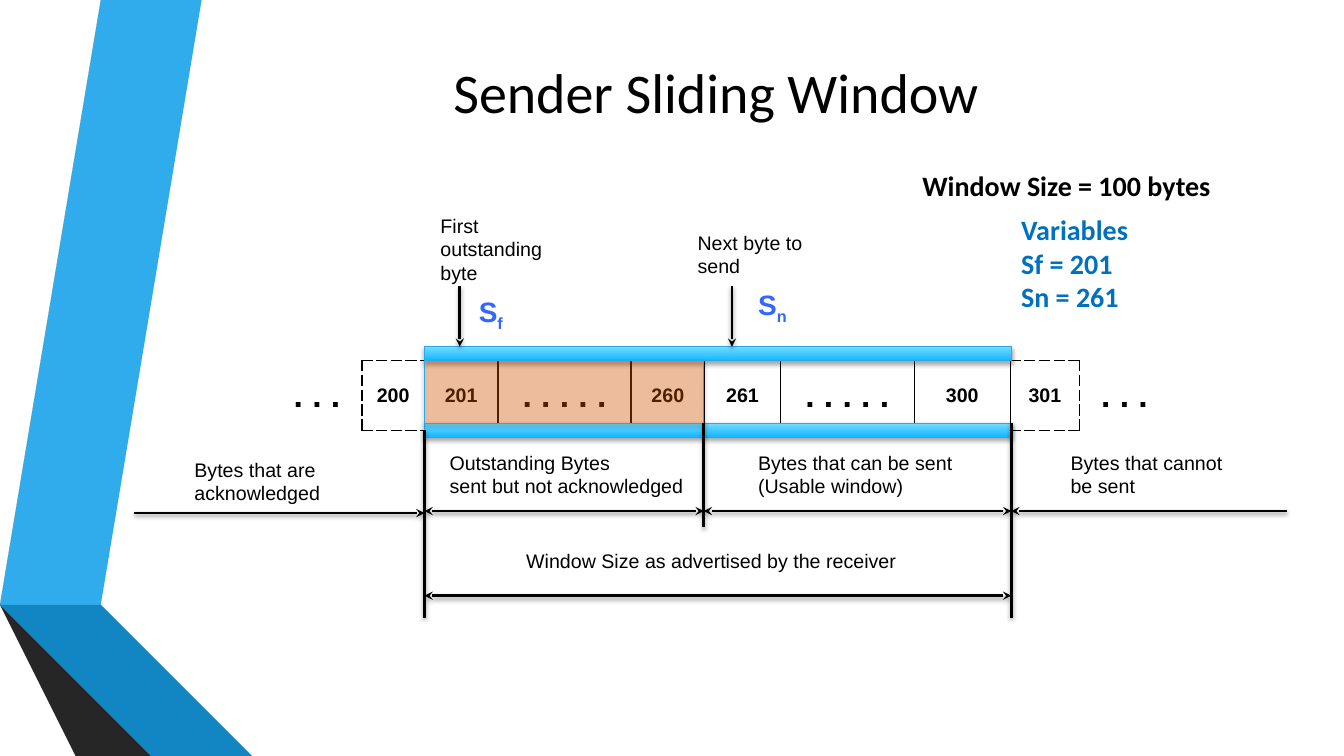
from lxml import etree
from pptx import Presentation
from pptx.dml.color import RGBColor
from pptx.enum.shapes import MSO_CONNECTOR, MSO_SHAPE
from pptx.enum.text import MSO_ANCHOR, PP_ALIGN
from pptx.oxml import parse_xml
from pptx.oxml.ns import nsdecls, qn
from pptx.util import Inches, Pt

BLACK = RGBColor(0x00, 0x00, 0x00)
BLUE = RGBColor(0x00, 0x70, 0xC0)
POINTER_BLUE = RGBColor(0x33, 0x66, 0xFF)
BAR_DARK = RGBColor(0x13, 0xB5, 0xFF)
BAR_LIGHT = RGBColor(0x73, 0xDC, 0xFF)
BAR_EDGE = RGBColor(0x29, 0xA9, 0xEA)
ORANGE = RGBColor(0xFF, 0x66, 0x00)

# Content: ribbon polygons on the left edge
RIBBONS = [
    (RGBColor(0x30, 0xAC, 0xEC), [(0.5, 5.78), (0.77, 5.83), (1.73, 0), (1.45, 0)]),
    (RGBColor(0x59, 0x59, 0x59), [(1.39, 0), (1.11, 0), (0.16, 5.73), (0.44, 5.77)]),
    (RGBColor(0x26, 0x26, 0x26), [(0.16, 5.73), (1.45, 7.5), (1.51, 7.5)]),
    (RGBColor(0x0B, 0x59, 0x82), [(0.5, 5.79), (2.08, 7.5), (2.14, 7.5)]),
    (RGBColor(0x11, 0x86, 0xC3), [(0.5, 5.79), (2.14, 7.5), (2.83, 7.5), (0.77, 5.83), (0.5, 5.78)]),
    (RGBColor(0x3F, 0x3F, 0x3F), [(2.02, 7.5), (0.48, 5.83), (0.44, 5.77), (0.16, 5.73), (1.51, 7.5)]),
]

# Content: byte cells as (text, width, borders); borders maps side to dash style
DASHED, SOLID = "dash", "solid"
INSIDE = dict.fromkeys("LRTB", SOLID)
BYTES = [
    (". . .", 0.89, {"R": DASHED}),
    ("200", 0.62, {"L": DASHED, "R": SOLID, "T": DASHED, "B": DASHED}),
    ("201", 0.73, INSIDE),
    (". . . . .", 1.32, INSIDE),
    ("260", 0.73, INSIDE),
    ("261", 0.75, INSIDE),
    (". . . . .", 1.33, INSIDE),
    ("300", 0.95, INSIDE),
    ("301", 0.69, {"L": SOLID, "R": DASHED, "T": DASHED, "B": DASHED}),
    (". . .", 0.89, {"L": DASHED}),
]

# Content: labels as (text, left, top, width, height, format)
HEADLINE = dict(size=20, font="Calibri", bold=True)
POINTER = dict(size=20, color=POINTER_BLUE, bold=True)
LABELS = [
    ("Bytes that are acknowledged", 1.83, 4.49, 1.74, 0.57, {}),
    ("Outstanding Bytes\nsent but not acknowledged", 4.36, 4.42, 2.88, 0.57, {}),
    ("Bytes that can be sent (Usable window)", 7.42, 4.42, 2.36, 0.57, {}),
    ("Bytes that cannot be sent", 10.52, 4.42, 1.74, 0.57, {}),
    ("Window Size as advertised by the receiver", 5.12, 5.4, 4.56, 0.34, {}),
    ("First outstanding byte", 4.27, 2.07, 1.32, 0.81, {}),
    ("Next byte to send", 6.82, 2.24, 1.32, 0.57, {}),
    ("Window Size = 100 bytes", 9.05, 1.62, 3.86, 0.44, HEADLINE),
    ("Variables\nSf = 201\nSn = 261", 10.03, 2.06, 2.74, 1.11, dict(HEADLINE, color=BLUE)),
    ("S", 4.65, 2.87, 0.48, 0.44, dict(POINTER, subscript="f")),
    ("S", 7.42, 2.8, 0.54, 0.44, dict(POINTER, subscript="n")),
]

# Layout: window edges and the rows of the diagram
WINDOW_LEFT, NEXT_BYTE, WINDOW_RIGHT = 4.21, 6.98, 10.03
WINDOW_WIDTH = WINDOW_RIGHT - WINDOW_LEFT
BAR_HEIGHT, BAR_TOP, CELL_TOP, CELL_BOTTOM = 0.14, 3.44, 3.58, 4.2
RANGE_Y, WINDOW_Y, DIVIDER_END = 5.07, 5.91, 6.13

# Lines as (x1, y1, x2, y2, arrowheads)
LINES = [
    (WINDOW_LEFT, 4.27, WINDOW_LEFT, DIVIDER_END, ()),
    (NEXT_BYTE, CELL_BOTTOM, NEXT_BYTE, 5.23, ()),
    (WINDOW_RIGHT, CELL_BOTTOM, WINDOW_RIGHT, DIVIDER_END, ()),
    (WINDOW_LEFT, WINDOW_Y, WINDOW_RIGHT, WINDOW_Y, ("headEnd", "tailEnd")),
    (WINDOW_LEFT, RANGE_Y, NEXT_BYTE, RANGE_Y, ("headEnd", "tailEnd")),
    (NEXT_BYTE, RANGE_Y, WINDOW_RIGHT, RANGE_Y, ("headEnd", "tailEnd")),
    (12.76, RANGE_Y, WINDOW_RIGHT, RANGE_Y, ("tailEnd",)),
    (1.33, 5.09, WINDOW_LEFT, 5.09, ("tailEnd",)),
    (4.56, 2.84, 4.56, BAR_TOP, ("tailEnd",)),
    (7.26, 2.84, 7.26, BAR_TOP, ("tailEnd",)),
]


def write(frame, text, size=14, font="Arial", color=BLACK, bold=False,
          align=PP_ALIGN.LEFT, anchor=MSO_ANCHOR.TOP, subscript=""):
    frame.word_wrap = True
    frame.vertical_anchor = anchor
    for index, line in enumerate(text.split("\n")):
        paragraph = frame.add_paragraph() if index else frame.paragraphs[0]
        paragraph.alignment = align
        for part in filter(None, (line, subscript)):
            run = paragraph.add_run()
            run.text = part
            run.font.size, run.font.name, run.font.bold = Pt(size), font, bold
            run.font.color.rgb = color
        if subscript:
            run.font._element.set("baseline", "-25000")


def add_shadow(shape, opacity, distance):
    properties = shape._element.spPr
    for plain in properties.findall(qn("a:effectLst")):
        properties.remove(plain)
    properties.append(parse_xml(
        f'<a:effectLst {nsdecls("a")}><a:outerShdw blurRad="{Pt(3.1)}" dist="{Pt(distance)}" '
        f'dir="5400000" rotWithShape="0"><a:srgbClr val="000000">'
        f'<a:alpha val="{opacity * 1000}"/></a:srgbClr></a:outerShdw></a:effectLst>'))


def add_block(shapes, left, top, width, height):
    block = shapes.add_shape(MSO_SHAPE.RECTANGLE, Inches(left), Inches(top),
                             Inches(width), Inches(height))
    block.line.color.rgb = BAR_EDGE
    block.line.width = Pt(0.75)
    block.shadow.inherit = False
    add_shadow(block, 34, 1.8)
    return block


def set_borders(cell, borders):
    properties = cell._tc.get_or_add_tcPr()
    for index, side in enumerate("LRTB"):
        paint = (f'<a:solidFill><a:srgbClr val="{BLACK}"/></a:solidFill>'
                 f'<a:prstDash val="{borders[side]}"/>' if side in borders else "<a:noFill/>")
        properties.insert(index, parse_xml(
            f'<a:ln{side} {nsdecls("a")} w="{Pt(1)}">{paint}</a:ln{side}>'))


def main():
    deck = Presentation()
    deck.slide_width, deck.slide_height = Inches(13.33), Inches(7.5)
    slide = deck.slides.add_slide(deck.slide_layouts[5])
    shapes = slide.shapes

    # Title
    title = shapes.title
    title.left, title.top, title.width, title.height = map(Inches, (1.62, 0.4, 10.96, 1))
    write(title.text_frame, "Sender Sliding Window", size=40, font="Calibri",
          align=PP_ALIGN.CENTER, anchor=MSO_ANCHOR.MIDDLE)

    # Ribbons
    for color, points in RIBBONS:
        outline = shapes.build_freeform(*points[0], scale=Inches(1))
        outline.add_line_segments(points[1:], close=True)
        ribbon = outline.convert_to_shape()
        ribbon.fill.solid()
        ribbon.fill.fore_color.rgb = color
        ribbon.line.fill.background()
        ribbon.shadow.inherit = False

    # Byte cells
    total = sum(width for _, width, _ in BYTES)
    byte_row = shapes.add_table(1, len(BYTES), Inches(2.7), Inches(CELL_TOP),
                                Inches(total), Inches(0.69)).table
    byte_row.first_row = byte_row.horz_banding = False
    for column, (text, width, borders) in enumerate(BYTES):
        byte_row.columns[column].width = Inches(width)
        cell = byte_row.cell(0, column)
        cell.fill.background()
        set_borders(cell, borders)
        write(cell.text_frame, text, size=24 if "." in text else 14, bold=True,
              align=PP_ALIGN.CENTER)
        cell.vertical_anchor = MSO_ANCHOR.MIDDLE

    # Window bars above and below the cells
    for top in (BAR_TOP, CELL_BOTTOM):
        bar = add_block(shapes, WINDOW_LEFT, top, WINDOW_WIDTH, BAR_HEIGHT)
        bar.fill.gradient()
        bar.fill.gradient_angle = 90
        for stop, position, color in zip(bar.fill.gradient_stops, (0, 1), (BAR_DARK, BAR_LIGHT)):
            stop.position = position
            stop.color.rgb = color

    # Tint over the outstanding bytes
    outstanding = add_block(shapes, WINDOW_LEFT, CELL_TOP, NEXT_BYTE - WINDOW_LEFT,
                            CELL_BOTTOM - CELL_TOP)
    outstanding.fill.solid()
    outstanding.fill.fore_color.rgb = ORANGE
    tint = outstanding._element.spPr.find(qn("a:solidFill"))[0]
    etree.SubElement(tint, qn("a:alpha")).set("val", "31000")

    # Dividers and arrows
    for x1, y1, x2, y2, heads in LINES:
        line = shapes.add_connector(MSO_CONNECTOR.STRAIGHT, *map(Inches, (x1, y1, x2, y2)))
        line.line.color.rgb = BLACK
        line.line.width = Pt(2)
        for head in heads:
            etree.SubElement(line.line._get_or_add_ln(), qn(f"a:{head}")).set("type", "stealth")
        add_shadow(line, 37, 1.6)

    # Labels
    for text, left, top, width, height, style in LABELS:
        label = shapes.add_textbox(*map(Inches, (left, top, width, height)))
        write(label.text_frame, text, **style)

    deck.save("out.pptx")


if __name__ == "__main__":
    main()
